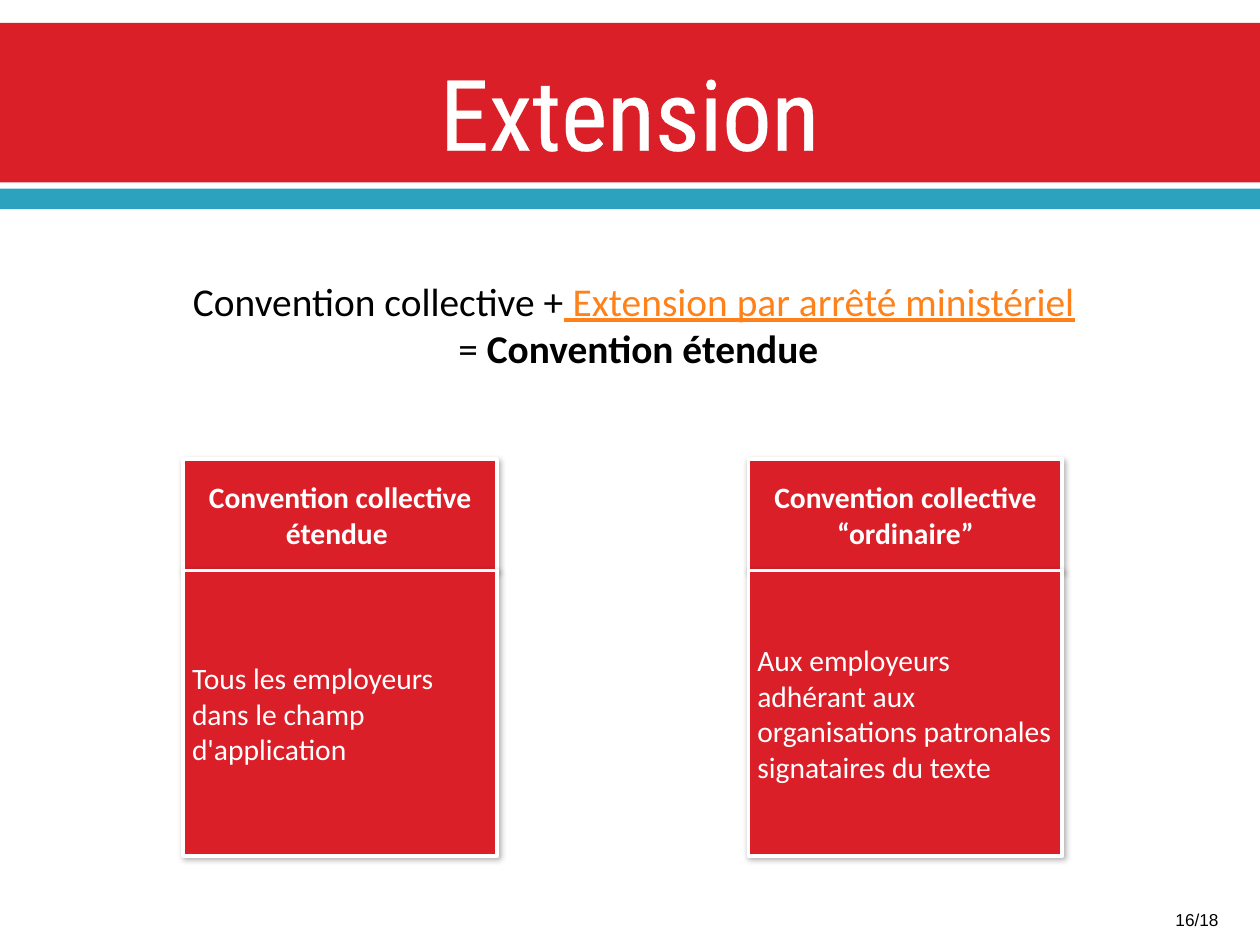
from dataclasses import dataclass

from lxml import etree
from pptx import Presentation
from pptx.dml.color import RGBColor
from pptx.enum import shapes, text
from pptx.oxml import ns
from pptx.util import Pt

RED, TEAL, ORANGE, WHITE, BLACK = "DA1F28", "2DA2BF", "FF8119", "FFFFFF", "000000"
WIDTH, HEIGHT = 1024, 768
LEFT, CENTER = text.PP_ALIGN.LEFT, text.PP_ALIGN.CENTER
TOP, MIDDLE = text.MSO_ANCHOR.TOP, text.MSO_ANCHOR.MIDDLE


@dataclass
class Span:
    words: str
    size: float
    font: str = "Calibri"
    color: str = BLACK
    bold: bool = False
    underline: bool = False
    outline: float = 0


@dataclass
class Area:
    left: float
    top: float
    width: float
    height: float

    def lengths(self) -> list:
        return [Pt(n) for n in (self.left, self.top, self.width, self.height)]


@dataclass
class Column:
    left: float
    heading: str
    body: str


def paint(target, color: str) -> None:
    """Give a fill a solid colour."""
    target.solid()
    target.fore_color.rgb = RGBColor.from_string(color)


def add_color(parent, color: str):
    fill = etree.SubElement(parent, ns.qn("a:solidFill"))
    return etree.SubElement(fill, ns.qn("a:srgbClr"), val=color)


def add_span(para, item: Span) -> None:
    span = para.add_run()
    span.text = item.words
    span.font.name = item.font
    span.font.size = Pt(item.size)
    span.font.bold = item.bold
    span.font.underline = item.underline
    paint(span.font.fill, item.color)
    if item.outline:
        line = etree.Element(ns.qn("a:ln"), w=str(Pt(item.outline)))
        add_color(line, item.color)
        span.font._element.insert(0, line)


def write(box, paragraphs: list[list[Span]], align=LEFT, anchor=TOP,
          margin: float = 0, hanging: float = 0) -> None:
    frame = box.text_frame
    frame.word_wrap = True
    frame.vertical_anchor = anchor
    for index, spans in enumerate(paragraphs):
        para = frame.add_paragraph() if index else frame.paragraphs[0]
        para.alignment = align
        if margin:
            properties = para._p.get_or_add_pPr()
            properties.set("marL", str(Pt(margin)))
            properties.set("indent", str(Pt(-hanging)))
        for item in spans:
            add_span(para, item)


def add_block(page, area: Area, color: str):
    block = page.shapes.add_shape(shapes.MSO_SHAPE.RECTANGLE, *area.lengths())
    block.shadow.inherit = False
    paint(block.fill, color)
    block.line.fill.background()
    return block


def add_card(page, area: Area, item: Span, align) -> None:
    """Draw a white-edged red block with a soft shadow and text."""
    card = add_block(page, area, RED)
    paint(card.line.fill, WHITE)
    card.line.width = Pt(3)
    effects = card._element.spPr.find(ns.qn("a:effectLst"))
    shadow = etree.SubElement(effects, ns.qn("a:outerShdw"), blurRad=str(Pt(5)),
                              dist=str(Pt(2)), dir=str(60 * 60000), rotWithShape="0")
    tone = etree.SubElement(shadow, ns.qn("a:srgbClr"), val=BLACK)
    etree.SubElement(tone, ns.qn("a:alpha"), val="30000")
    write(card, [[item]], align, MIDDLE)


def add_text(page, area: Area, paragraphs: list[list[Span]], **layout) -> None:
    box = page.shapes.add_textbox(*area.lengths())
    write(box, paragraphs, **layout)
    for side in ("top", "bottom"):
        setattr(box.text_frame, f"margin_{side}", Pt(7.2 if layout else 3.6))


def main() -> None:
    deck = Presentation()
    deck.slide_width, deck.slide_height = Pt(WIDTH), Pt(HEIGHT)
    page = deck.slides.add_slide(deck.slide_layouts[6])

    # Header bands and title
    add_block(page, Area(0, 18.7, WIDTH, 129.6), RED)
    add_block(page, Area(0, 153.4, WIDTH, 16.6), TEAL)
    add_text(page, Area(75, 35.3, 874, 170),
             [[Span("Extension", 80, "Roboto Condensed", WHITE, outline=1.1)]],
             align=CENTER)

    # Definition
    add_text(page, Area(75, 205.2, 874, 116.6), [
        [Span("Convention collective +", 32),
         Span(" Extension par arrêté ministériel", 32, color=ORANGE, underline=True),
         Span(" ", 32)],
        [Span("= ", 32), Span("Convention étendue", 32, bold=True)],
    ], align=CENTER, anchor=MIDDLE, margin=35.3, hanging=21.6)

    # Two compared agreements
    columns = [
        Column(149, "Convention collective étendue ",
               "Tous les employeurs dans le champ d'application"),
        Column(608.4, "Convention collective “ordinaire”",
               "Aux employeurs adhérant aux organisations patronales "
               "signataires du texte"),
    ]
    top, width, heading_height, body_height = 373, 255, 90.7, 231.8
    for column in columns:
        add_card(page, Area(column.left, top, width, heading_height),
                 Span(column.heading, 24, color=WHITE, bold=True), CENTER)
        add_card(page, Area(column.left, top + heading_height, width, body_height),
                 Span(column.body, 24, color=WHITE), LEFT)

    # Page number
    add_text(page, Area(948.2, 735.8, 75.6, 24.5), [[Span("16/18", 14, "Arial")]])

    deck.save("out.pptx")


if __name__ == "__main__":
    main()
